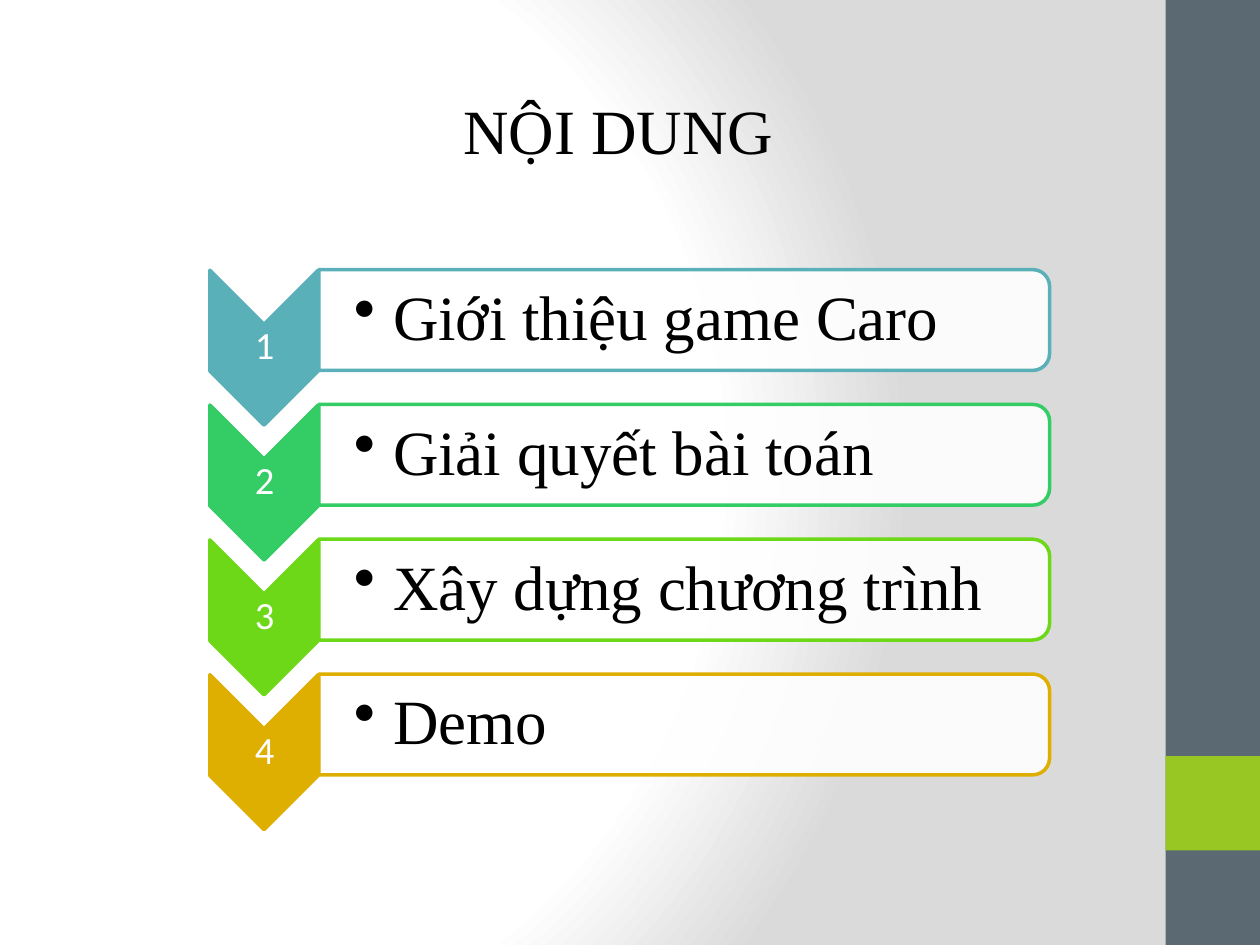
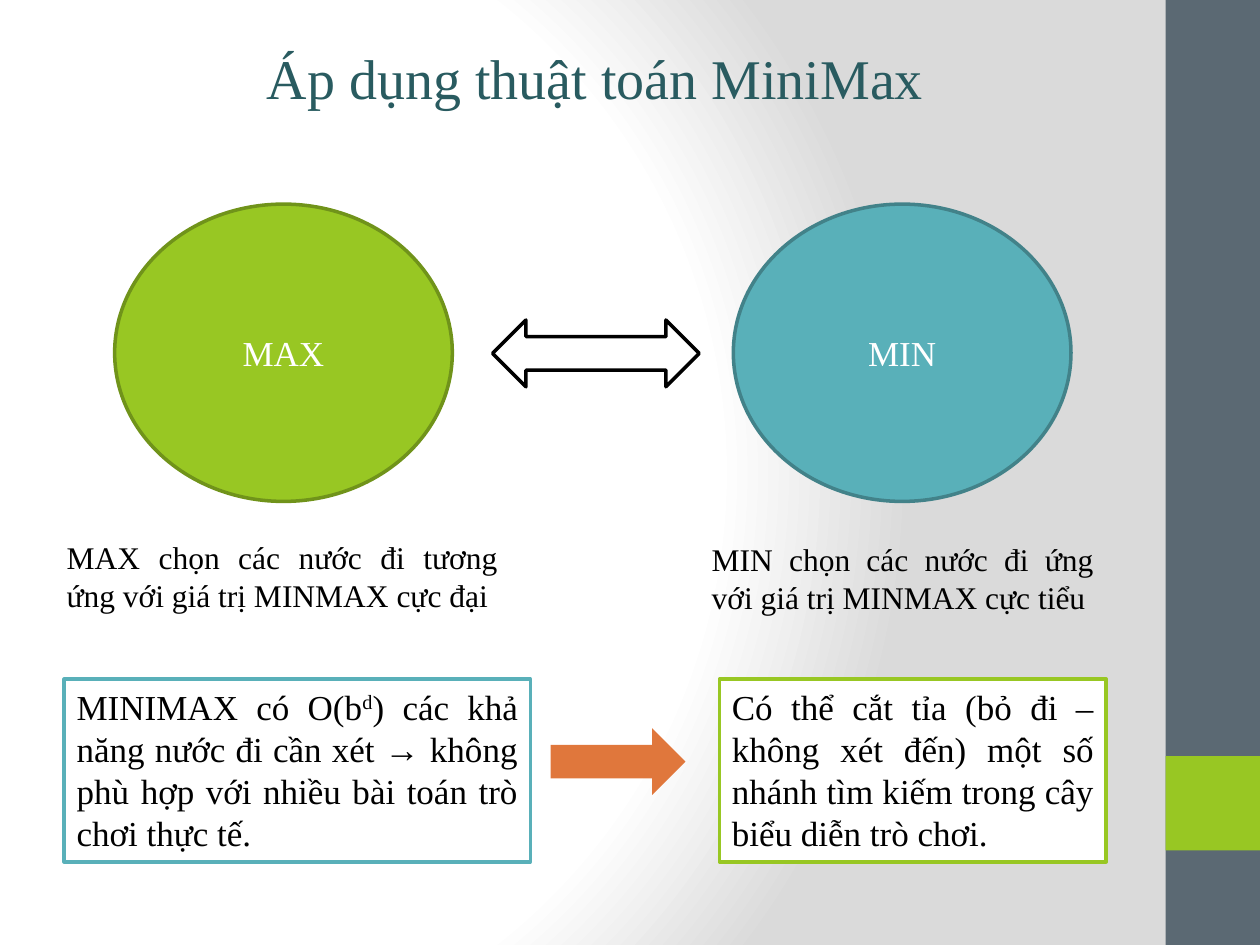
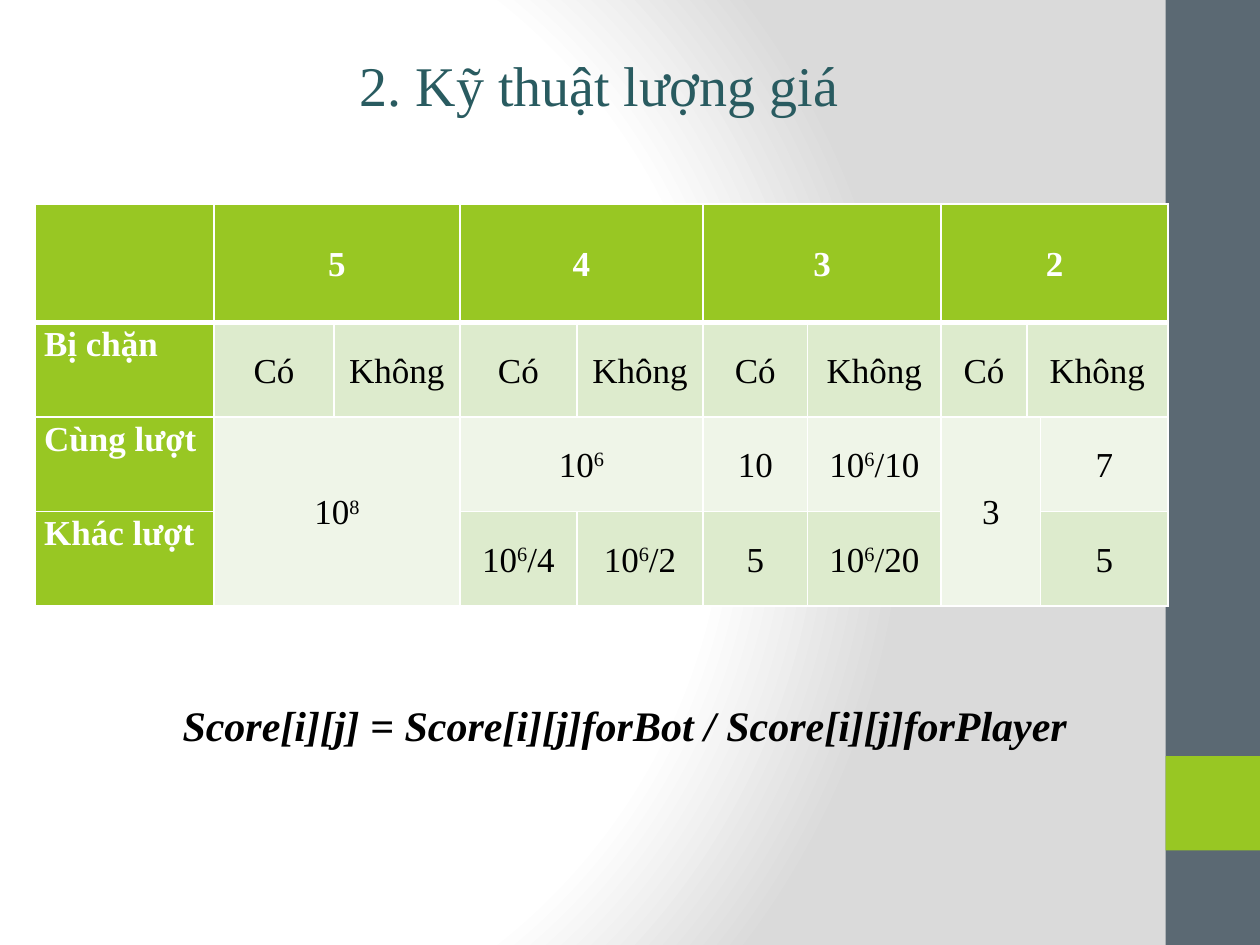
from dataclasses import dataclass
from typing import NamedTuple

from lxml import etree
from pptx import Presentation
from pptx.dml.color import RGBColor
from pptx.enum.shapes import MSO_SHAPE
from pptx.enum.text import MSO_ANCHOR, MSO_AUTO_SIZE, PP_ALIGN
from pptx.oxml import parse_xml
from pptx.oxml.ns import nsdecls, qn
from pptx.util import Pt

RECT, OVAL, CHEVRON = MSO_SHAPE.RECTANGLE, MSO_SHAPE.OVAL, MSO_SHAPE.CHEVRON
ROUNDED_TOP = MSO_SHAPE.ROUND_2_SAME_RECTANGLE
BOTH_WAYS, RIGHTWARD = MSO_SHAPE.LEFT_RIGHT_ARROW, MSO_SHAPE.RIGHT_ARROW
LEFT, CENTER, JUSTIFY = PP_ALIGN.LEFT, PP_ALIGN.CENTER, PP_ALIGN.JUSTIFY
TOP, MIDDLE = MSO_ANCHOR.TOP, MSO_ANCHOR.MIDDLE
GROW = MSO_AUTO_SIZE.SHAPE_TO_FIT_TEXT

EMU_PER_PX = 9144  # 100 px to the inch


def px(length: int) -> int:
    return length * EMU_PER_PX


@dataclass(frozen=True)
class Theme:
    serif: str = "Times New Roman"
    sans: str = "Calibri"
    white: str = "FFFFFF"
    black: str = "000000"
    backdrop_edge: str = "DADADA"
    side_band: str = "5B6973"
    heading: str = "295B60"
    lime: str = "98C723"
    lime_edge: str = "70931A"
    teal: str = "59B0B9"
    teal_edge: str = "428289"
    green: str = "34CD65"
    grass: str = "6DD818"
    gold: str = "DEAE00"
    orange: str = "E0773C"
    row_dark: str = "DDEBCD"
    row_light: str = "EFF5E8"
    agenda_size: int = 36
    heading_size: int = 32
    formula_size: int = 24
    number_size: int = 22
    body_size: int = 20
    caption_size: int = 18
    line_width: int = 2


THEME = Theme()


class Box(NamedTuple):
    left: int
    top: int
    width: int
    height: int

    def emu(self) -> list[int]:
        return [px(length) for length in self]


@dataclass(frozen=True)
class TextStyle:
    size: int
    color: str = THEME.black
    align: PP_ALIGN = LEFT
    font: str = THEME.serif
    bold: bool = False
    italic: bool = False
    line_spacing: float | None = None
    space_after: int | None = None


@dataclass(frozen=True)
class Figure:
    kind: MSO_SHAPE
    box: Box
    fill: str
    line: str | None = None
    text: str = ""
    style: TextStyle | None = None
    anchor: MSO_ANCHOR = MIDDLE


class AgendaItem(NamedTuple):
    text: str
    color: str


class ScoreCell(NamedTuple):
    row: int
    col: int
    text: str
    rows: int = 1
    cols: int = 1


HEADING = TextStyle(THEME.heading_size, THEME.heading, CENTER)
AGENDA_TITLE = TextStyle(THEME.agenda_size)
AGENDA_TEXT = TextStyle(THEME.agenda_size, line_spacing=0.9)
AGENDA_NUMBER = TextStyle(THEME.number_size, THEME.white, CENTER, THEME.sans,
                          line_spacing=0.9)
PLAYER = TextStyle(THEME.body_size, THEME.white, CENTER)
CAPTION = TextStyle(THEME.caption_size, align=JUSTIFY)
REMARK = TextStyle(THEME.body_size, align=JUSTIFY)
FORMULA = TextStyle(THEME.formula_size, bold=True, italic=True)
SCORE = TextStyle(THEME.body_size, align=CENTER, line_spacing=1.07, space_after=8)
COLUMN_HEAD = TextStyle(THEME.body_size, THEME.white, CENTER, bold=True,
                        line_spacing=1.07, space_after=8)
ROW_HEAD = TextStyle(THEME.body_size, THEME.white, bold=True,
                     line_spacing=1.07, space_after=8)

BANDS = [
    Figure(RECT, Box(925, 0, 75, 750), THEME.side_band),
    Figure(RECT, Box(925, 600, 75, 75), THEME.lime),
]

AGENDA = [
    AgendaItem("Giới thiệu game Caro", THEME.teal),
    AgendaItem("Giải quyết bài toán", THEME.green),
    AgendaItem("Xây dựng chương trình", THEME.grass),
    AgendaItem("Demo", THEME.gold),
]
AGENDA_TOP, AGENDA_STEP = 218, 107

MINIMAX_FIGURES = [
    Figure(OVAL, Box(582, 162, 268, 236), THEME.teal, THEME.teal_edge, "MIN", PLAYER),
    Figure(OVAL, Box(91, 162, 268, 236), THEME.lime, THEME.lime_edge, "MAX", PLAYER),
    Figure(BOTH_WAYS, Box(391, 254, 164, 53), THEME.white, THEME.black),
    Figure(RECT, Box(571, 539, 307, 145), THEME.white, THEME.lime,
           "Có thể cắt tỉa (bỏ đi – không xét đến) một số nhánh tìm kiếm "
           "trong cây biểu diễn trò chơi.", REMARK, TOP),
    Figure(RECT, Box(51, 539, 370, 145), THEME.white, THEME.teal,
           "MINIMAX có O(b^d^) các khả năng nước đi cần xét → không phù hợp "
           "với nhiều bài toán trò chơi thực tế.", REMARK, TOP),
    Figure(RIGHTWARD, Box(437, 578, 107, 53), THEME.orange),
]

COLUMN_WIDTHS = [142, 95, 100, 93, 100, 83, 106, 68, 11, 101]
ROW_HEIGHTS = [94, 75, 75, 75]
SCORE_CELLS = [
    ScoreCell(0, 1, "5", cols=2),
    ScoreCell(0, 3, "4", cols=2),
    ScoreCell(0, 5, "3", cols=2),
    ScoreCell(0, 7, "2", cols=3),
    ScoreCell(1, 0, "Bị chặn"),
    *(ScoreCell(1, col, "Có") for col in (1, 3, 5, 7)),
    *(ScoreCell(1, col, "Không") for col in (2, 4, 6)),
    ScoreCell(1, 8, "Không", cols=2),
    ScoreCell(2, 0, "Cùng lượt"),
    ScoreCell(2, 1, "10^8^", rows=2, cols=2),
    ScoreCell(2, 3, "10^6^", cols=2),
    ScoreCell(2, 5, "10"),
    ScoreCell(2, 6, "10^6^/10"),
    ScoreCell(2, 7, "3", rows=2, cols=2),
    ScoreCell(2, 9, "7"),
    ScoreCell(3, 0, "Khác lượt"),
    ScoreCell(3, 3, "10^6^/4"),
    ScoreCell(3, 4, "10^6^/2"),
    ScoreCell(3, 5, "5"),
    ScoreCell(3, 6, "10^6^/20"),
    ScoreCell(3, 9, "5"),
]


def rgb(color: str) -> RGBColor:
    return RGBColor.from_string(color)


def write(frame, text: str, style: TextStyle):
    """Fill the first paragraph; parts between carets are superscripts."""
    paragraph = frame.paragraphs[0]
    paragraph.alignment = style.align
    if style.line_spacing:
        paragraph.line_spacing = style.line_spacing
    if style.space_after:
        paragraph.space_after = Pt(style.space_after)
    font = paragraph.font
    font.name, font.size = style.font, Pt(style.size)
    font.bold, font.italic = style.bold, style.italic
    font.color.rgb = rgb(style.color)
    for index, part in enumerate(text.split("^")):
        if part:
            run = paragraph.add_run()
            run.text = part
            if index % 2:
                run._r.get_or_add_rPr().set("baseline", "30000")
    return paragraph


def set_insets(frame, left: int, others: int) -> None:
    frame.margin_left = px(left)
    frame.margin_top = frame.margin_right = frame.margin_bottom = px(others)


def add_text(slide, box: Box, text: str, style: TextStyle, wrap: bool = True):
    frame = slide.shapes.add_textbox(*box.emu()).text_frame
    frame.word_wrap = wrap
    frame.auto_size = GROW
    write(frame, text, style)


def add_inset_text(slide, box: Box, text: str, style: TextStyle,
                   left: int, others: int):
    """Add fixed-size, vertically centred text and return its paragraph."""
    frame = slide.shapes.add_textbox(*box.emu()).text_frame
    frame.word_wrap = True
    frame.vertical_anchor = MIDDLE
    set_insets(frame, left, others)
    return write(frame, text, style)


def add_figure(slide, figure: Figure):
    shape = slide.shapes.add_shape(figure.kind, *figure.box.emu())
    shape.shadow.inherit = False
    shape.fill.solid()
    shape.fill.fore_color.rgb = rgb(figure.fill)
    if figure.line:
        shape.line.color.rgb = rgb(figure.line)
        shape.line.width = Pt(THEME.line_width)
    else:
        shape.line.fill.background()
    if figure.style:
        shape.text_frame.word_wrap = True
        shape.text_frame.vertical_anchor = figure.anchor
        write(shape.text_frame, figure.text, figure.style)
    return shape


def set_backdrop(master) -> None:
    """Give every slide the white-to-grey radial gradient."""
    master.background.fill.gradient()
    gradient = master.element.find(".//" + qn("a:gradFill"))
    stops = "".join(
        f'<a:gs pos="{position}"><a:srgbClr val="{color}"/></a:gs>'
        for position, color in ((0, THEME.white), (75000, THEME.white),
                                (100000, THEME.backdrop_edge)))
    gradient.getparent().replace(gradient, parse_xml(
        f'<a:gradFill {nsdecls("a")} rotWithShape="1"><a:gsLst>{stops}</a:gsLst>'
        '<a:path path="circle"><a:fillToRect l="20000" t="50000" r="100000" '
        'b="50000"/></a:path></a:gradFill>'))


def new_slide(deck):
    slide = deck.slides.add_slide(deck.slide_layouts[6])
    for band in BANDS:
        add_figure(slide, band)
    return slide


def set_opacity(shape, percent: int) -> None:
    color = shape.element.spPr.find(f"{qn('a:solidFill')}/{qn('a:srgbClr')}")
    etree.SubElement(color, qn("a:alpha")).set("val", str(percent * 1000))


def add_bullet(paragraph, indent: int) -> None:
    properties = paragraph._p.get_or_add_pPr()
    properties.set("marL", str(px(indent)))
    properties.set("indent", str(-px(indent)))
    bullet = parse_xml(f'<a:buChar {nsdecls("a")} char="•"/>')
    properties.find(qn("a:defRPr")).addprevious(bullet)


def add_agenda_item(slide, number: int, item: AgendaItem) -> None:
    top = AGENDA_TOP + (number - 1) * AGENDA_STEP
    chevron = add_figure(slide, Figure(
        CHEVRON, Box(148, top + 15, 123, 86), item.color, item.color))
    chevron.rotation = 90
    add_inset_text(slide, Box(167, top + 39, 86, 37), str(number),
                   AGENDA_NUMBER, 2, 2)
    panel = add_figure(slide, Figure(
        ROUNDED_TOP, Box(503, top - 254, 80, 580), THEME.white, item.color))
    panel.rotation = 90
    set_opacity(panel, 90)
    topic = add_inset_text(slide, Box(253, top, 576, 72), item.text,
                           AGENDA_TEXT, 28, 3)
    add_bullet(topic, 31)


def set_borders(cell, row: int) -> None:
    """Draw white cell borders, thick between the header and the body."""
    widths = {"L": 1, "R": 1, "T": 3 if row == 1 else 1, "B": 3 if row == 0 else 1}
    properties = cell._tc.get_or_add_tcPr()
    for side, width in widths.items():
        properties.append(parse_xml(
            f'<a:ln{side} {nsdecls("a")} w="{Pt(width)}"><a:solidFill>'
            f'<a:srgbClr val="{THEME.white}"/></a:solidFill></a:ln{side}>'))


def add_score_table(slide, left: int, top: int) -> None:
    box = Box(left, top, sum(COLUMN_WIDTHS), sum(ROW_HEIGHTS))
    table = slide.shapes.add_table(
        len(ROW_HEIGHTS), len(COLUMN_WIDTHS), *box.emu()).table
    table.first_col = True
    for column, width in zip(table.columns, COLUMN_WIDTHS):
        column.width = px(width)
    for row, height in zip(table.rows, ROW_HEIGHTS):
        row.height = px(height)
    for row in range(len(ROW_HEIGHTS)):
        for col in range(len(COLUMN_WIDTHS)):
            cell = table.cell(row, col)
            set_borders(cell, row)
            body = THEME.row_light if row == 2 else THEME.row_dark
            cell.fill.solid()
            cell.fill.fore_color.rgb = rgb(
                THEME.lime if row == 0 or col == 0 else body)
    for entry in SCORE_CELLS:
        cell = table.cell(entry.row, entry.col)
        if entry.rows * entry.cols > 1:
            cell.merge(table.cell(entry.row + entry.rows - 1,
                                  entry.col + entry.cols - 1))
        cell.margin_left = cell.margin_right = px(7)
        cell.margin_top = cell.margin_bottom = 0
        cell.vertical_anchor = MIDDLE if entry.col else TOP
        body_style = SCORE if entry.row else COLUMN_HEAD
        write(cell.text_frame, entry.text, body_style if entry.col else ROW_HEAD)


def build_agenda(deck) -> None:
    slide = new_slide(deck)
    add_text(slide, Box(358, 68, 268, 71), "NỘI DUNG", AGENDA_TITLE)
    for number, item in enumerate(AGENDA, start=1):
        add_agenda_item(slide, number, item)


def build_minimax(deck) -> None:
    slide = new_slide(deck)
    add_text(slide, Box(127, 30, 691, 64), "Áp dụng thuật toán MiniMax", HEADING)
    for figure in MINIMAX_FIGURES:
        add_figure(slide, figure)
    add_text(slide, Box(43, 422, 362, 71),
             "MAX chọn các nước đi tương ứng với giá trị MINMAX cực đại", CAPTION)
    add_text(slide, Box(555, 424, 323, 71),
             "MIN chọn các nước đi ứng với giá trị MINMAX cực tiểu", CAPTION)


def build_scoring(deck) -> None:
    slide = new_slide(deck)
    add_text(slide, Box(130, 35, 691, 64), "2. Kỹ thuật lượng giá", HEADING)
    add_score_table(slide, 28, 162)
    add_text(slide, Box(135, 550, 729, 50),
             "Score[i][j] = Score[i][j]forBot / Score[i][j]forPlayer",
             FORMULA, wrap=False)


def main() -> None:
    deck = Presentation()
    deck.slide_width, deck.slide_height = px(1000), px(750)
    set_backdrop(deck.slide_master)
    build_agenda(deck)
    build_minimax(deck)
    build_scoring(deck)
    deck.save("out.pptx")


if __name__ == "__main__":
    main()
